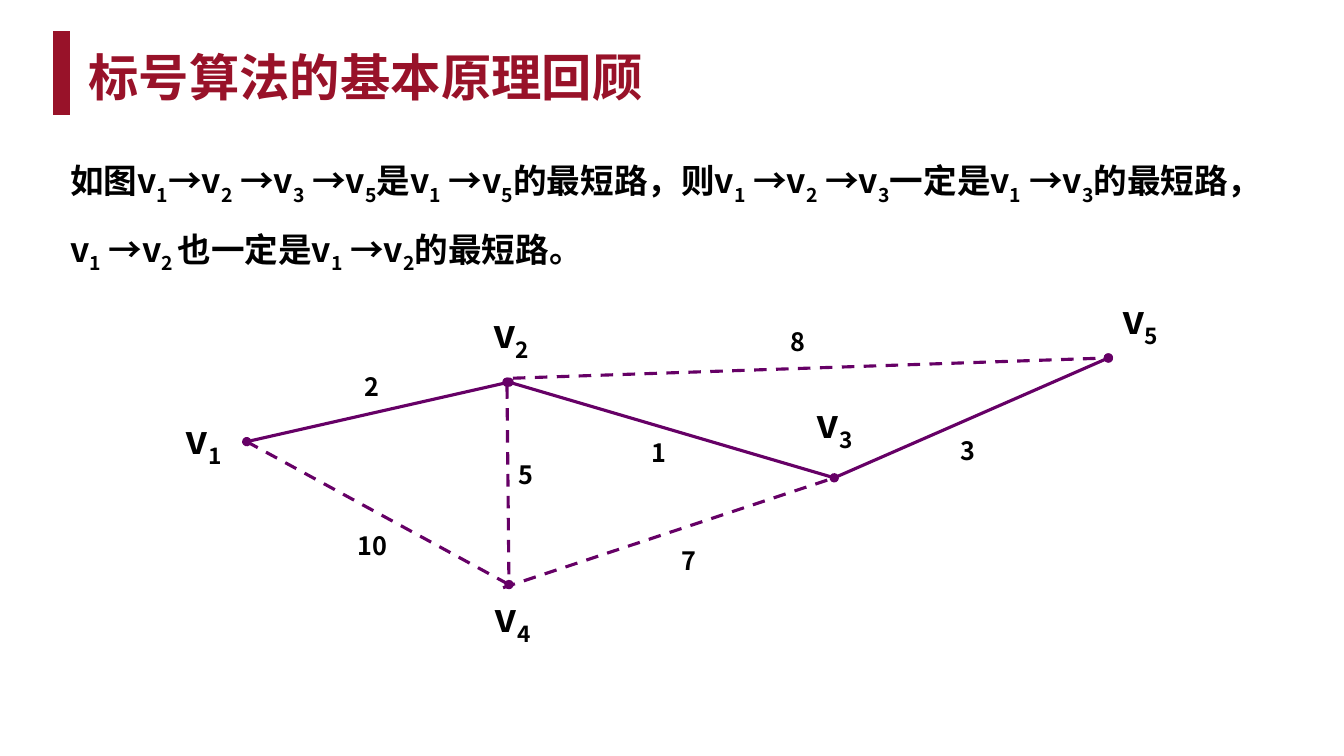
"""Build a slide that reviews the principle of the labelling algorithm."""
from lxml import etree
from pptx import Presentation
from pptx.dml.color import RGBColor
from pptx.enum.dml import MSO_LINE
from pptx.enum.shapes import MSO_CONNECTOR
from pptx.enum.text import PP_ALIGN
from pptx.oxml.ns import qn
from pptx.util import Cm, Pt

STRAIGHT = MSO_CONNECTOR.STRAIGHT
DASH = MSO_LINE.DASH
LEFT, CENTER = PP_ALIGN.LEFT, PP_ALIGN.CENTER
FONT = "Noto Sans CJK SC"
COLORS = {"title": "981229", "text": "000000", "edge": "660066"}

TITLE = "标号算法的基本原理回顾"
STATEMENT = (
    "如图v_1→v_2 →v_3 →v_5是v_1 →v_5的最短路，则v_1 →v_2 →v_3一定是v_1 →v_3"
    "的最短路，v_1 →v_2_ 也一定是v_1 →v_2的最短路。"
)

NODES = {
    "v_1": (2.22, 3.83),
    "v_2": (8.83, 2.33),
    "v_3": (17.03, 4.74),
    "v_4": (8.83, 7.43),
    "v_5": (23.94, 1.72),
}
NAME_OFFSETS = {
    "v_1": (-1.08, 0.01),
    "v_2": (0.06, -1.16),
    "v_3": (0.01, -1.31),
    "v_4": (0.09, 0.9),
    "v_5": (0.8, -0.9),
}
SOLID_EDGES = [
    ("v_1", "v_2", "2", (-0.14, -0.63), (0, 0), ("head", "tail")),
    ("v_2", "v_3", "1", (-0.33, 0.56), (0, 0), ()),
    ("v_3", "v_5", "3", (-0.09, 0.82), (0, 0), ("head", "tail")),
]
DASHED_EDGES = [
    ("v_1", "v_4", "10", (-0.14, 0.81), (0, 0), ("tail",)),
    ("v_4", "v_3", "7", (0.43, 0.73), (-0.15, 0.08), ()),
    ("v_2", "v_4", "5", (0.42, -0.22), (-0.05, 0), ("head",)),
    ("v_2", "v_5", "8", (-0.26, -0.72), (0.1, -0.1), ("tail",)),
]


def add_span(para, text, size, color, subscript=False):
    """Add one bold run, lowered when it is a subscript."""
    span = para.add_run()
    span.text = text
    span.font.size = Pt(size)
    span.font.bold = True
    span.font.name = FONT
    span.font.color.rgb = RGBColor.from_string(COLORS[color])
    properties = span.font._element
    etree.SubElement(properties, qn("a:ea")).set("typeface", FONT)
    if subscript:
        properties.set("baseline", "-25000")


def add_text(page, box, text, size=18, color="text", align=LEFT, spacing=1.0):
    """Write text in a box; the character after an underscore is a subscript."""
    frame = page.shapes.add_textbox(*map(Cm, box)).text_frame
    frame.word_wrap = True
    para = frame.paragraphs[0]
    para.alignment = align
    para.line_spacing = spacing
    plain, *pieces = text.split("_")
    add_span(para, plain, size, color)
    for piece in pieces:
        add_span(para, piece[0], size, color, subscript=True)
        if piece[1:]:
            add_span(para, piece[1:], size, color)


def add_label(page, center, text, width, height, size):
    """Write text centred on a point."""
    x, y = center
    box = (x - width / 2, y - height / 2, width, height)
    add_text(page, box, text, size=size, align=CENTER)


def add_line(page, start, end, color, width, dashed=False, ovals=()):
    """Draw a straight line with oval ends where asked."""
    line = page.shapes.add_connector(STRAIGHT, *map(Cm, (*start, *end)))
    line.line.color.rgb = RGBColor.from_string(COLORS[color])
    line.line.width = Pt(width)
    if dashed:
        line.line.dash_style = DASH
    properties = line._element.spPr
    outline = properties.find(qn("a:ln"))
    for side in ovals:
        etree.SubElement(outline, qn(f"a:{side}End")).set("type", "oval")
    etree.SubElement(properties, qn("a:effectLst"))


def shift(point, offset):
    """Move a point by an offset."""
    return point[0] + offset[0], point[1] + offset[1]


def build_title(page, box):
    """Place the title beside its thick vertical bar."""
    left, top, width, height = box
    add_line(page, (left, top), (left, top + height), "title", 12)
    add_text(page, (left + 0.43, top + 0.25, width - 0.43, 1.78), TITLE,
             size=36, color="title")


def build_statement(page, box):
    """Place the statement on shortest paths."""
    add_text(page, box, STATEMENT, size=24, spacing=1.5)


def build_graph(page, box):
    """Draw the weighted graph with its node names."""
    origin = box[:2]
    nodes = {name: shift(origin, point) for name, point in NODES.items()}
    for edges, dashed in ((SOLID_EDGES, False), (DASHED_EDGES, True)):
        for first, last, weight, offset, nudge, ovals in edges:
            start, end = nodes[first], nodes[last]
            add_line(page, shift(start, nudge), end, "edge", 2.25, dashed, ovals)
            middle = (start[0] + end[0]) / 2, (start[1] + end[1]) / 2
            add_label(page, shift(middle, offset), weight, 1.8, 1.02, 18)
    for name, offset in NAME_OFFSETS.items():
        add_label(page, shift(nodes[name], offset), name, 2.21, 1.6, 28)


def main():
    """Build and save the deck."""
    deck = Presentation()
    deck.slide_width, deck.slide_height = Cm(33.88), Cm(19.05)
    page = deck.slides.add_slide(deck.slide_layouts[6])
    build_title(page, (1.55, 0.79, 31.19, 2.11))
    build_statement(page, (1.52, 3.33, 30.81, 3.73))
    build_graph(page, (4, 7.3, 26, 9.2))
    deck.save("out.pptx")


if __name__ == "__main__":
    main()
